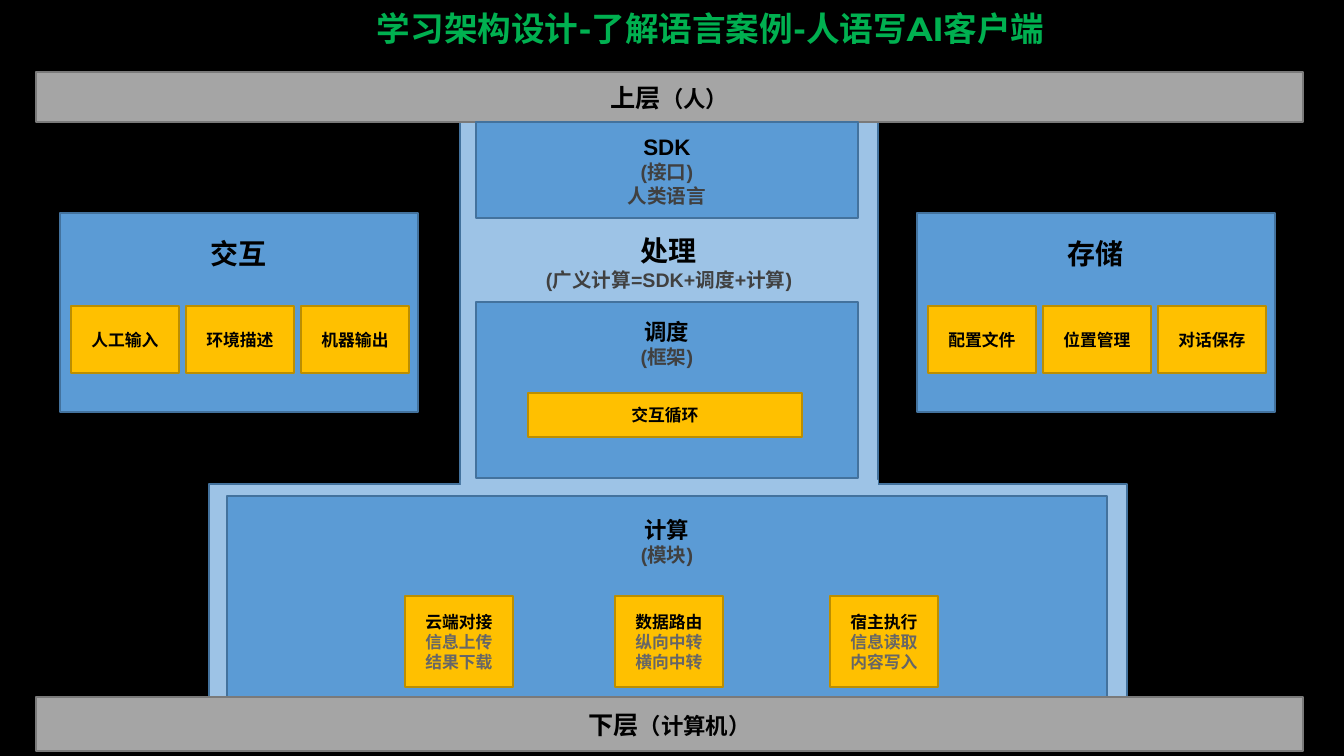
from pptx import Presentation
from pptx.dml.color import RGBColor
from pptx.enum.shapes import MSO_SHAPE
from pptx.enum.text import MSO_ANCHOR, PP_ALIGN
from pptx.util import Emu, Pt

EMU_PER_PX = 914400 / 100.8
BLACK = RGBColor(0x00, 0x00, 0x00)
GREEN = RGBColor(0x00, 0xB0, 0x50)
GRAY = RGBColor(0xA5, 0xA5, 0xA5)
GRAY_LINE = RGBColor(0x7A, 0x7A, 0x7A)
BLUE = RGBColor(0x5B, 0x9B, 0xD5)
LIGHT_BLUE = RGBColor(0x9D, 0xC3, 0xE6)
BLUE_LINE = RGBColor(0x43, 0x72, 0x9D)
YELLOW = RGBColor(0xFF, 0xC0, 0x00)
YELLOW_LINE = RGBColor(0xBC, 0x8E, 0x00)
NOTE = RGBColor(0x40, 0x40, 0x40)
DETAIL = RGBColor(0x66, 0x66, 0x66)


def px(value):
    return Emu(round(value * EMU_PER_PX))


def add_run(paragraph, text, size, color=BLACK, font="Arial"):
    run = paragraph.add_run()
    run.text = text
    run.font.name = font
    run.font.size = Pt(size)
    run.font.bold = True
    run.font.color.rgb = color


def add_box(slide, place, fill, line=None, paragraphs=(), text_top=None):
    shape = slide.shapes.add_shape(MSO_SHAPE.RECTANGLE, *map(px, place))
    shape.shadow.inherit = False
    shape.fill.solid()
    shape.fill.fore_color.rgb = fill
    if line is None:
        shape.line.fill.background()
    else:
        shape.line.color.rgb = line
        shape.line.width = Pt(1)
    frame = shape.text_frame
    frame.word_wrap = True
    frame.vertical_anchor = MSO_ANCHOR.MIDDLE
    if text_top is not None:
        frame.vertical_anchor = MSO_ANCHOR.TOP
        frame.margin_top = px(text_top - place[1])
    for index, runs in enumerate(paragraphs):
        paragraph = frame.add_paragraph() if index else frame.paragraphs[0]
        paragraph.alignment = PP_ALIGN.CENTER
        for run in runs:
            add_run(paragraph, *run)


def add_title(slide, text):
    box = slide.shapes.add_textbox(px(367), px(-1), px(864), px(63))
    frame = box.text_frame
    frame.word_wrap = True
    frame.vertical_anchor = MSO_ANCHOR.MIDDLE
    paragraph = frame.paragraphs[0]
    paragraph.line_spacing = 0.9
    add_run(paragraph, text, 24, GREEN, "Montserrat")


def add_layer(slide, top, height, name, role):
    add_box(slide, (36, top, 1267, height), GRAY, GRAY_LINE,
            [[(name, 18), (role, 16)]])


def add_part(slide, place, name, notes, text_top=None):
    paragraphs = [[(name, 16)]] + [[(note, 14, NOTE)] for note in notes]
    add_box(slide, place, BLUE, BLUE_LINE, paragraphs, text_top)


def add_item(slide, place, name, details=()):
    paragraphs = [[(name, 12)]] + [[(detail, 12, DETAIL)] for detail in details]
    add_box(slide, place, YELLOW, YELLOW_LINE, paragraphs)


def add_side_panel(slide, left, name, items):
    add_box(slide, (left, 213, 358, 199), BLUE, BLUE_LINE, [[(name, 20)]], 237)
    for column, item in enumerate(items):
        add_item(slide, (left + 11 + 115 * column, 306, 108, 67), item)


def main():
    prs = Presentation()
    prs.slide_width, prs.slide_height = px(1344), px(756)
    slide = prs.slides.add_slide(prs.slide_layouts[6])
    slide.background.fill.solid()
    slide.background.fill.fore_color.rgb = BLACK

    add_box(slide, (460, 122, 418, 524), LIGHT_BLUE, BLUE_LINE,
            [[("处理", 20)], [("(广义计算=SDK+调度+计算)", 14, NOTE)]], 234)
    add_title(slide, "学习架构设计-了解语言案例-人语写AI客户端")
    add_layer(slide, 72, 50, "上层", "（人）")
    add_part(slide, (476, 122, 382, 96), "SDK", ["(接口)", "人类语言"])
    add_part(slide, (476, 302, 382, 176), "调度", ["(框架)"], 318)
    add_item(slide, (528, 393, 274, 44), "交互循环")

    add_box(slide, (209, 484, 918, 213), LIGHT_BLUE, BLUE_LINE)
    add_box(slide, (461, 480, 417, 11), LIGHT_BLUE)
    add_part(slide, (227, 496, 880, 201), "计算", ["(模块)"], 516)
    modules = [
        (405, "云端对接", ["信息上传", "结果下载"]),
        (615, "数据路由", ["纵向中转", "横向中转"]),
        (830, "宿主执行", ["信息读取", "内容写入"]),
    ]
    for left, name, details in modules:
        add_item(slide, (left, 596, 108, 91), name, details)
    add_layer(slide, 697, 54, "下层", "（计算机）")

    add_side_panel(slide, 60, "交互", ["人工输入", "环境描述", "机器输出"])
    add_side_panel(slide, 917, "存储", ["配置文件", "位置管理", "对话保存"])
    prs.save("out.pptx")


main()
